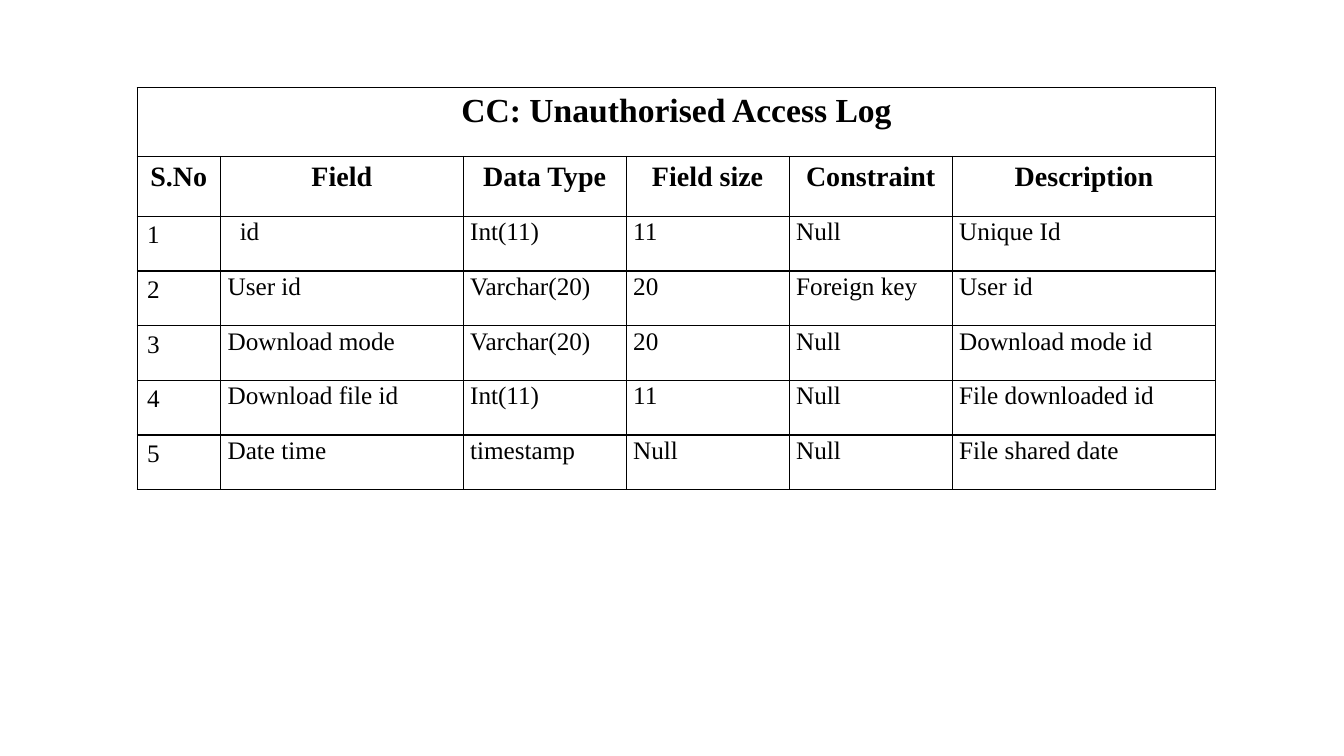
from dataclasses import dataclass

from lxml import etree
from pptx import Presentation
from pptx import util as u
from pptx.dml.color import RGBColor
from pptx.enum import text
from pptx.oxml import ns

BLACK = RGBColor(0x00, 0x00, 0x00)
FONT = "Times New Roman"

# Table frame in inches; columns and rows are weights that share it
LEFT, TOP, WIDTH, HEIGHT = 1.36, 0.87, 10.7, 3.99
COLUMNS = (0.83, 2.41, 1.62, 1.62, 1.62, 2.62)
ROWS = (0.68, 0.59) + (0.54,) * 5

TITLE = "CC: Unauthorised Access Log"
HEADINGS = ("S.No", "Field", "Data Type", "Field size", "Constraint", "Description")


@dataclass(frozen=True)
class Field:
    name: str
    data_type: str
    size: str
    constraint: str
    description: str
    indent: float = 0


FIELDS = (
    Field("id", "Int(11)", "11", "Null", "Unique Id", indent=0.12),
    Field("User id", "Varchar(20)", "20", "Foreign key", "User id"),
    Field("Download mode", "Varchar(20)", "20", "Null", "Download mode id"),
    Field("Download file id", "Int(11)", "11", "Null", "File downloaded id"),
    Field("Date time", "timestamp", "Null", "Null", "File shared date"),
)


def write(cell, words: str, *, size: int = 18, bold: bool = False,
          align=text.PP_ALIGN.LEFT, spacing: float = 1.0) -> None:
    p = cell.text_frame.paragraphs[0]
    p.alignment = align
    p.line_spacing = spacing
    r = p.add_run()
    r.text = words
    r.font.name = FONT
    r.font.size = u.Pt(size)
    r.font.bold = bold
    r.font.color.rgb = BLACK


def outline(cell) -> None:
    """Draw a thin line on every side and leave the cell unfilled."""
    tc_pr = cell._tc.get_or_add_tcPr()
    for side in ("lnL", "lnR", "lnT", "lnB"):
        ln = etree.SubElement(tc_pr, ns.qn(f"a:{side}"), w=str(u.Pt(1)))
        fill = etree.SubElement(ln, ns.qn("a:solidFill"))
        etree.SubElement(fill, ns.qn("a:srgbClr"), val=str(BLACK))
    cell.fill.background()


def tighten(cell, indent: float = 0) -> None:
    cell.margin_left = u.Inches(0.07 + indent)
    cell.margin_right = u.Inches(0.07)
    cell.margin_top = cell.margin_bottom = 0


def add_grid(slide):
    table = slide.shapes.add_table(
        len(ROWS), len(COLUMNS), u.Inches(LEFT), u.Inches(TOP),
        u.Inches(WIDTH), u.Inches(HEIGHT)).table
    table.first_row = table.horz_banding = False
    for column, weight in zip(table.columns, COLUMNS):
        column.width = u.Inches(WIDTH * weight / sum(COLUMNS))
    for row, weight in zip(table.rows, ROWS):
        row.height = u.Inches(HEIGHT * weight / sum(ROWS))
    for cell in table.iter_cells():
        outline(cell)
    return table


def main() -> None:
    prs = Presentation()
    prs.slide_width, prs.slide_height = u.Inches(13.33), u.Inches(7.5)
    slide = prs.slides.add_slide(prs.slide_layouts[6])
    table = add_grid(slide)

    # Title and headings
    title = table.cell(0, 0)
    title.merge(table.cell(0, len(COLUMNS) - 1))
    write(title, TITLE, size=24, bold=True, align=text.PP_ALIGN.CENTER)
    for col, heading in enumerate(HEADINGS):
        write(table.cell(1, col), heading, size=20, bold=True,
              align=text.PP_ALIGN.CENTER)

    # Numbered fields
    for number, field in enumerate(FIELDS, start=1):
        row = number + 1
        write(table.cell(row, 0), str(number))
        values = (field.name, field.data_type, field.size,
                  field.constraint, field.description)
        for col, value in enumerate(values, start=1):
            cell = table.cell(row, col)
            tighten(cell, field.indent if col == 1 else 0)
            write(cell, value, spacing=1.07)

    prs.save("out.pptx")


if __name__ == "__main__":
    main()
